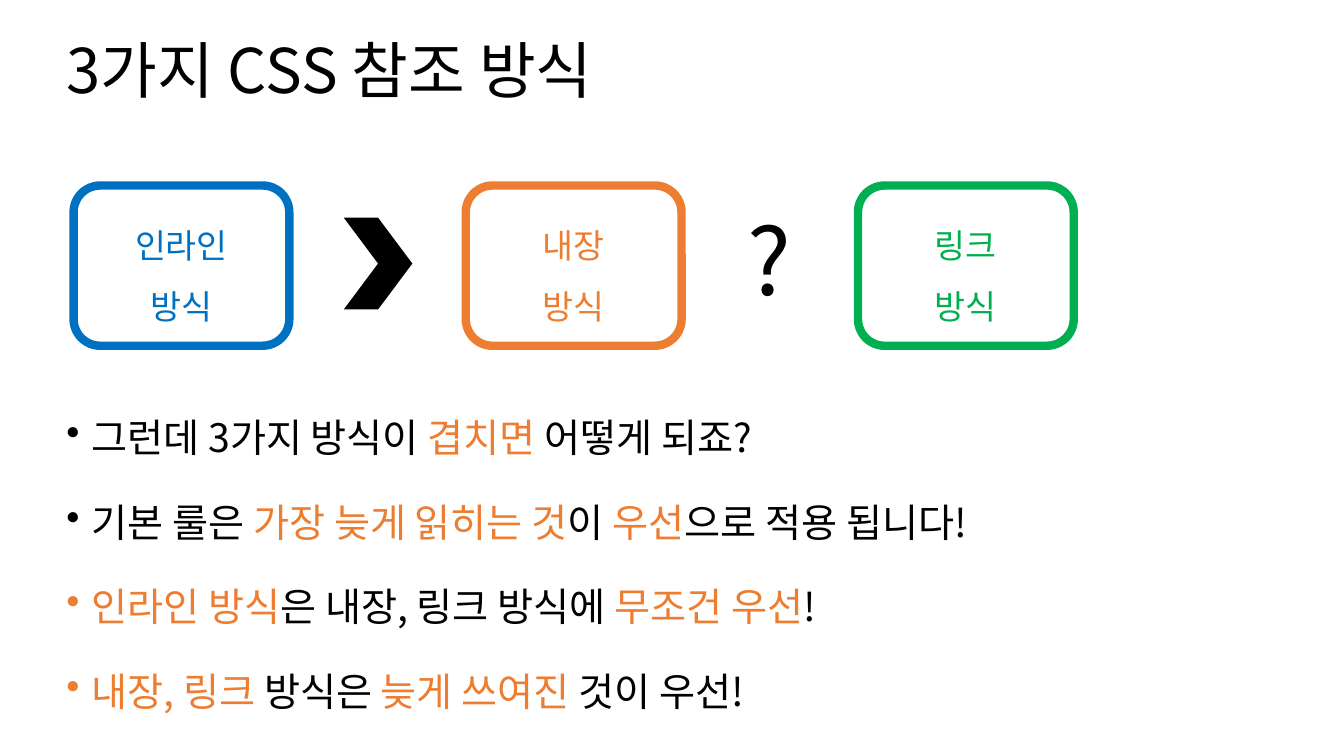
from dataclasses import dataclass

from lxml.etree import SubElement
from pptx import Presentation
from pptx.dml.color import RGBColor
from pptx.enum.shapes import MSO_SHAPE as Preset
from pptx.enum.text import MSO_ANCHOR as Anchor, PP_ALIGN as Align
from pptx.oxml.ns import qn
from pptx.util import Inches, Pt


@dataclass(frozen=True)
class Theme:
    """Colours, font and type sizes of the slide."""
    font: str = "Noto Sans CJK KR"
    ink: str = "000000"
    blue: str = "0070C0"
    orange: str = "ED7D31"
    green: str = "00B050"
    title: int = 44
    body: int = 28
    label: int = 24
    question: int = 66
    border: int = 6


THEME = Theme()
METHODS = [("인라인", THEME.blue), ("내장", THEME.orange), ("링크", THEME.green)]
RULES = [
    [("그런데 3가지 방식이 ", THEME.ink), ("겹치면", THEME.orange),
     (" 어떻게 되죠?", THEME.ink)],
    [("기본 룰은 ", THEME.ink), ("가장 늦게 읽히는 것", THEME.orange),
     ("이 ", THEME.ink), ("우선", THEME.orange), ("으로 적용 됩니다!", THEME.ink)],
    [("인라인 방식", THEME.orange), ("은 내장, 링크 방식에 ", THEME.ink),
     ("무조건 우선", THEME.orange), ("!", THEME.ink)],
    [("내장, 링크 ", THEME.orange), ("방식은 ", THEME.ink),
     ("늦게 쓰여진", THEME.orange), (" 것이 우선!", THEME.ink)],
]


def apply_format(target, values):
    """Set each named attribute on the target."""
    for name, value in values.items():
        setattr(target, name, value)


def add_run(paragraph, text, size, color):
    """Append one coloured run in the theme font."""
    run = paragraph.add_run()
    run.text = text
    apply_format(run.font, {"name": THEME.font, "size": Pt(size)})
    run.font.color.rgb = RGBColor.from_string(color)
    SubElement(run.font._element, qn("a:ea"), typeface=THEME.font)


def fill_text(frame, lines, size, frame_format, line_format, bulleted=False):
    """Write lines of (text, colour) runs into a text frame."""
    apply_format(frame, {"word_wrap": True, **frame_format})
    for index, line in enumerate(lines):
        paragraph = frame.add_paragraph() if index else frame.paragraphs[0]
        apply_format(paragraph, line_format)
        if bulleted:
            properties = paragraph._p.get_or_add_pPr()
            properties.set("marL", str(Inches(0.25)))
            properties.set("indent", str(Inches(-0.25)))
            SubElement(properties, qn("a:buChar"), char="•")
            if index:
                paragraph.space_before = Pt(10)
        for text, color in line:
            add_run(paragraph, text, size, color)


def add_title(slide, left, top, width, height):
    """Place the slide title."""
    title = slide.shapes.add_textbox(*map(Inches, (left, top, width, height)))
    fill_text(title.text_frame, [[("3가지 CSS 참조 방식", THEME.ink)]], THEME.title,
              {"vertical_anchor": Anchor.MIDDLE}, {"line_spacing": 0.9})


def add_method(slide, name, color, left, top, width, height):
    """Place one outlined method card."""
    card = slide.shapes.add_shape(
        Preset.ROUNDED_RECTANGLE, *map(Inches, (left, top, width, height)))
    card.shadow.inherit = False
    card.fill.background()
    card.line.color.rgb = RGBColor.from_string(color)
    card.line.width = Pt(THEME.border)
    fill_text(card.text_frame, [[(name, color)], [("방식", color)]], THEME.label,
              {"vertical_anchor": Anchor.MIDDLE},
              {"alignment": Align.CENTER, "line_spacing": 1.5})


def add_comparison(slide, left, top, width, height):
    """Place the three method cards and the signs between them."""
    card_width = 2.14
    pitch = (width - card_width) / (len(METHODS) - 1)
    for index, (name, color) in enumerate(METHODS):
        add_method(slide, name, color, left + index * pitch, top, card_width, height)

    chevron = slide.shapes.add_shape(
        Preset.CHEVRON, *map(Inches, (left + 2.68, top + 0.32, 0.68, 0.91)))
    chevron.shadow.inherit = False
    chevron.fill.solid()
    chevron.fill.fore_color.rgb = RGBColor.from_string(THEME.ink)
    chevron.line.fill.background()

    question = slide.shapes.add_textbox(
        *map(Inches, (left + 6.54, top + 0.07, 0.73, 1.45)))
    fill_text(question.text_frame, [[("?", THEME.ink)]], THEME.question,
              {"vertical_anchor": Anchor.MIDDLE},
              {"alignment": Align.CENTER, "line_spacing": 0.9})


def add_rules(slide, left, top, width, height):
    """Place the bulleted precedence rules."""
    rules = slide.shapes.add_textbox(*map(Inches, (left, top, width, height)))
    fill_text(rules.text_frame, RULES, THEME.body, {"vertical_anchor": Anchor.TOP},
              {"line_spacing": 1.5}, bulleted=True)


def main():
    """Build and save the slide."""
    deck = Presentation()
    apply_format(deck, {"slide_width": Inches(13.33), "slide_height": Inches(7.5)})
    slide = deck.slides.add_slide(deck.slide_layouts[6])
    add_title(slide, 0.56, 0, 12.31, 1.45)
    add_comparison(slide, 0.73, 1.84, 9.92, 1.59)
    add_rules(slide, 0.56, 3.82, 12.31, 3.68)
    deck.save("out.pptx")


if __name__ == "__main__":
    main()
